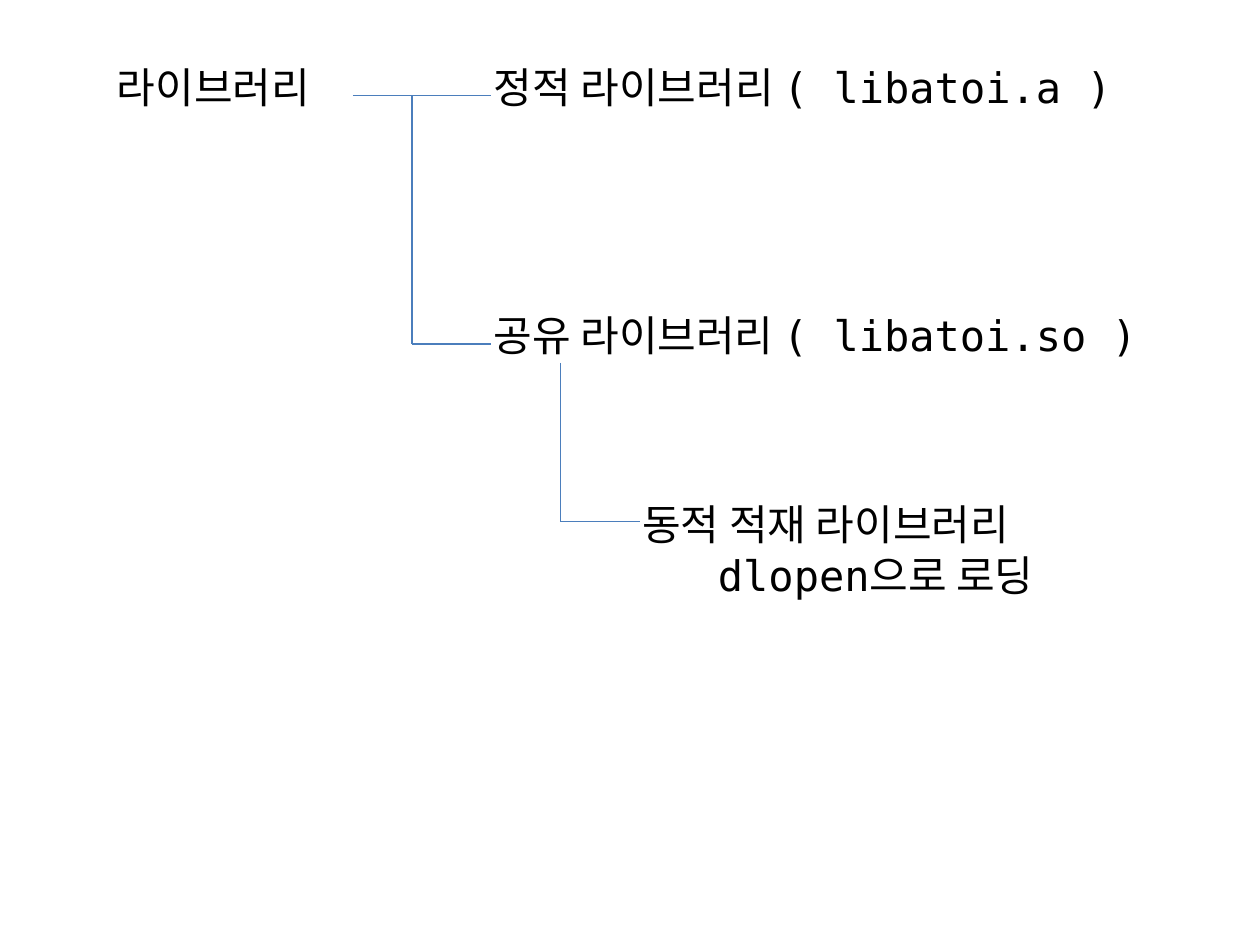
from lxml import etree
from pptx import Presentation
from pptx.dml.color import RGBColor
from pptx.enum.shapes import MSO_CONNECTOR
from pptx.enum.text import MSO_AUTO_SIZE
from pptx.oxml.ns import qn
from pptx.util import Inches, Pt

BLACK = RGBColor(0x00, 0x00, 0x00)
LINE_BLUE = RGBColor(0x4B, 0x7E, 0xBC)
FONT_FORMAT = {"name": "DejaVu Sans Mono", "size": Pt(24)}

# Lines of text as (text, left indent in inches)
LABELS = [
    ((0.83, 0.44, 1.88, 0.5), [("라이브러리", 0)]),
    ((3.82, 0.44, 5.35, 0.5), [("정적 라이브러리 ( libatoi.a )", 0)]),
    ((3.82, 2.41, 5.53, 0.5), [("공유 라이브러리 ( libatoi.so )", 0)]),
    ((5, 3.91, 3.6, 0.91), [("동적 적재 라이브러리", 0), ("dlopen으로 로딩", 0.6)]),
]

ROOT_X, TRUNK_X, BRANCH_X = 2.8, 3.27, 3.9
STATIC_Y, SHARED_Y = 0.76, 2.73
DYNAMIC_X, DYNAMIC_TOP, DYNAMIC_Y, DYNAMIC_END = 4.45, 2.88, 4.14, 5.08


def add_label(s, box, lines):
    tb = s.shapes.add_textbox(*map(Inches, box))
    tf = tb.text_frame
    tf.word_wrap = False
    tf.auto_size = MSO_AUTO_SIZE.SHAPE_TO_FIT_TEXT
    for i, (text, indent) in enumerate(lines):
        p = tf.paragraphs[0] if i == 0 else tf.add_paragraph()
        if indent:
            p._p.get_or_add_pPr().set("marL", str(Inches(indent)))
        r = p.add_run()
        r.text = text
        for key, value in FONT_FORMAT.items():
            setattr(r.font, key, value)
        r.font.color.rgb = BLACK


def add_line(s, *ends):
    """Draw a plain line through x1, y1, x2, y2 in inches."""
    line = s.shapes.add_connector(MSO_CONNECTOR.STRAIGHT, *map(Inches, ends))
    line.line.color.rgb = LINE_BLUE
    line.line.width = Pt(0.75)
    etree.SubElement(line._element.spPr, qn("a:effectLst"))


def add_elbow(s, x, top, bottom, end_x):
    """Draw a branch that runs down and then right."""
    add_line(s, x, bottom, end_x, bottom)
    add_line(s, x, top, x, bottom)


def add_library_tree(s):
    for box, lines in LABELS:
        add_label(s, box, lines)
    add_line(s, ROOT_X, STATIC_Y, BRANCH_X, STATIC_Y)
    add_elbow(s, TRUNK_X, STATIC_Y, SHARED_Y, BRANCH_X)
    add_elbow(s, DYNAMIC_X, DYNAMIC_TOP, DYNAMIC_Y, DYNAMIC_END)


def main():
    prs = Presentation()
    prs.slide_width, prs.slide_height = Inches(10), Inches(7.5)
    s = prs.slides.add_slide(prs.slide_layouts[6])
    add_library_tree(s)
    prs.save("out.pptx")


if __name__ == "__main__":
    main()
